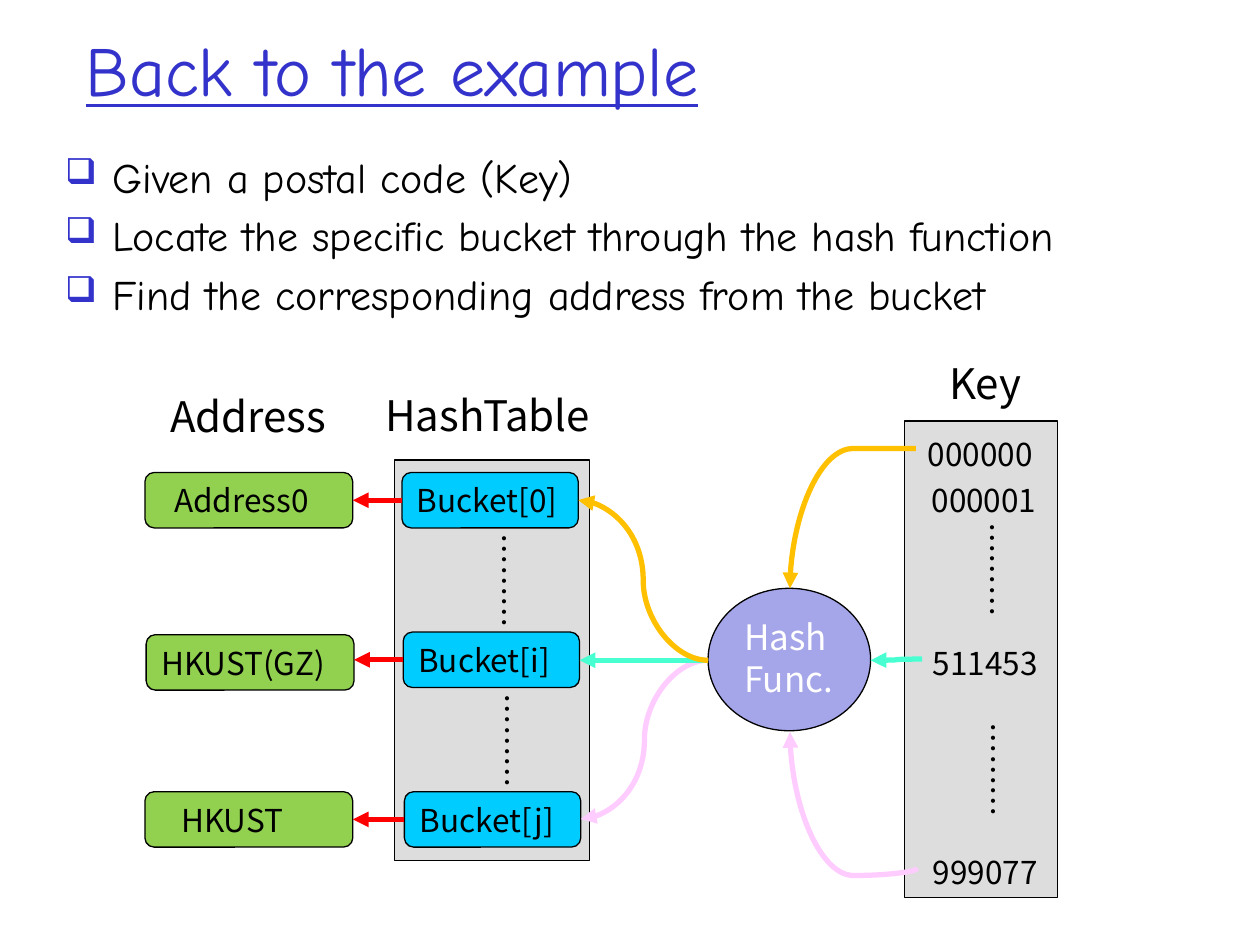
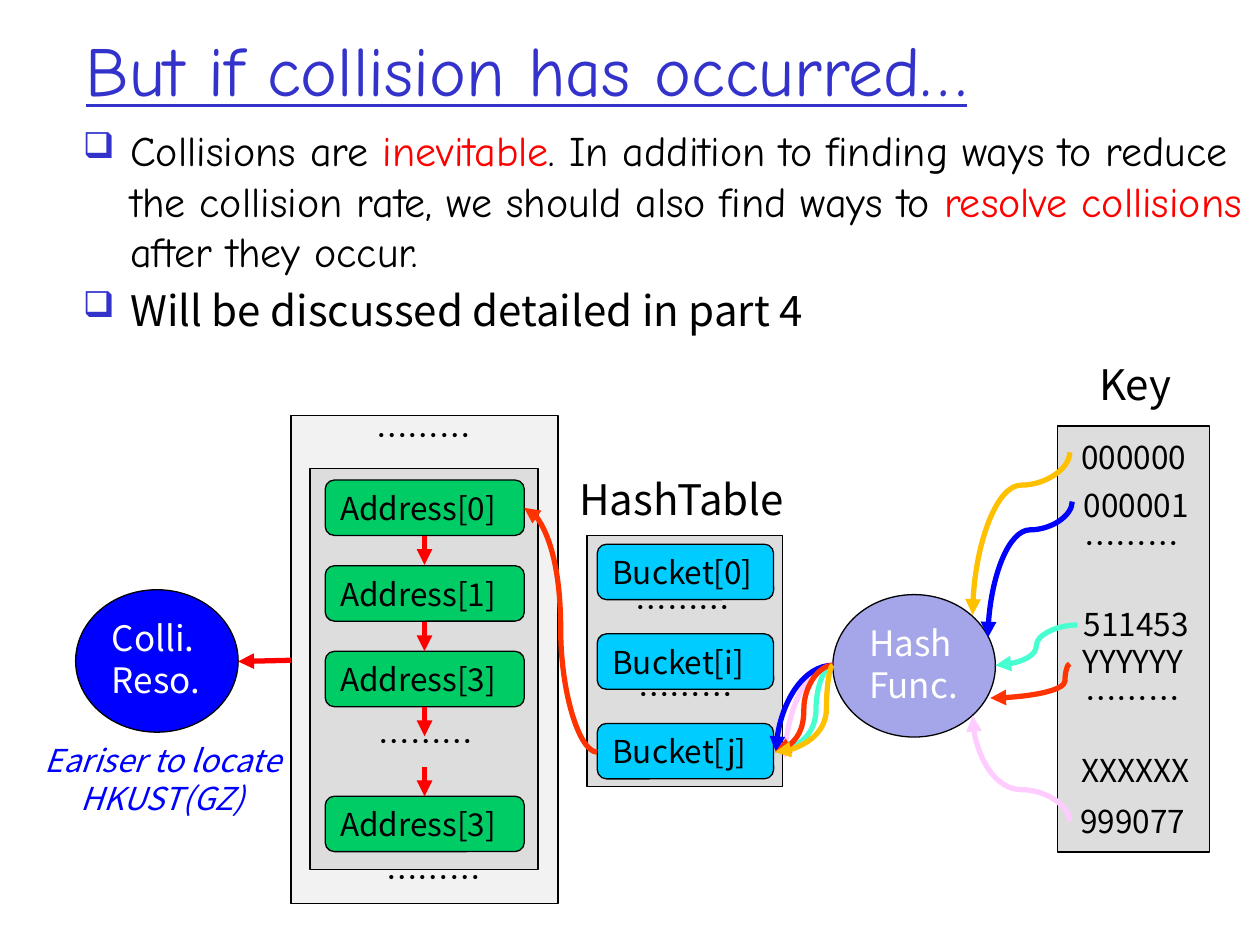
from dataclasses import dataclass

from lxml import etree
from pptx import Presentation
from pptx import util as u
from pptx.dml import color
from pptx.enum import shapes, text
from pptx.oxml import ns


@dataclass(frozen=True)
class Theme:
    hand: str = "Comic Neue"
    sans: str = "Noto Sans CJK JP"
    title_size: int = 40
    body_size: int = 24
    oval_size: int = 20
    small_size: int = 18
    title: str = "3333CC"
    black: str = "000000"
    white: str = "FFFFFF"
    panel: str = "DDDDDD"
    outer_panel: str = "F2F2F2"
    bucket: str = "00CCFF"
    address: str = "92D050"
    chained: str = "00CC66"
    hash: str = "A5A5E9"
    red: str = "FF0000"
    orange: str = "FF3300"
    gold: str = "FFC000"
    pink: str = "FFCCFF"
    teal: str = "47FFD1"
    blue: str = "0000FF"


THEME = Theme()
DOTS = "………"
BOX_HEIGHT = 31.7
BUCKET_WIDTH = 100.8
OVAL_SIZE = (92.9, 81.4)
PRESET = shapes.MSO_SHAPE


# --- Text ---

def rgb(value):
    return color.RGBColor.from_string(value)


def points(values):
    return [u.Pt(value) for value in values]


def add_run(paragraph, words, size, fill=THEME.black, font=THEME.sans):
    run = paragraph.add_run()
    run.text = words
    run.font.size = u.Pt(size)
    run.font.name = font
    run.font.color.rgb = rgb(fill)
    east_asian = etree.SubElement(run.font._element, ns.qn("a:ea"))
    east_asian.set("typeface", font)
    return run


def add_text_box(slide, box):
    shape = slide.shapes.add_textbox(*points(box))
    shape.text_frame.word_wrap = True
    return shape


def add_title(slide, words):
    frame = add_text_box(slide, (42, 18, 612, 42.5)).text_frame
    frame.vertical_anchor = text.MSO_ANCHOR.MIDDLE
    run = add_run(frame.paragraphs[0], words, THEME.title_size, THEME.title, THEME.hand)
    run.font.underline = True


def add_bullet(paragraph):
    properties = paragraph._p.get_or_add_pPr()
    properties.set("marL", str(u.Pt(27)))
    properties.set("indent", str(u.Pt(-27)))
    bullet_color = etree.SubElement(properties, ns.qn("a:buClr"))
    etree.SubElement(bullet_color, ns.qn("a:srgbClr")).set("val", THEME.title)
    etree.SubElement(properties, ns.qn("a:buSzPct")).set("val", "85000")
    etree.SubElement(properties, ns.qn("a:buChar")).set("char", "❑")


def add_bullets(slide, box, items):
    """Each item is a list of (words, colour, font) runs."""
    frame = add_text_box(slide, box).text_frame
    for index, runs in enumerate(items):
        paragraph = frame.add_paragraph() if index else frame.paragraphs[0]
        add_bullet(paragraph)
        if index:
            paragraph.space_before = u.Pt(4.8)
        for words, fill, font in runs:
            add_run(paragraph, words, THEME.body_size, fill, font)


def add_label(slide, center, top, words, size=THEME.small_size, fill=THEME.black,
              width=162.7, rotation=0):
    height = 36 if size == THEME.body_size else 28.8
    shape = add_text_box(slide, (center - width / 2, top, width, height))
    shape.rotation = rotation
    shape.text_frame.auto_size = text.MSO_AUTO_SIZE.SHAPE_TO_FIT_TEXT
    paragraph = shape.text_frame.paragraphs[0]
    paragraph.alignment = text.PP_ALIGN.CENTER
    return add_run(paragraph, words, size, fill)


def add_heading(slide, center, top, words):
    add_label(slide, center, top, words, THEME.body_size)


# --- Shapes ---

def add_block(slide, preset, box, fill):
    shape = slide.shapes.add_shape(preset, *points(box))
    shape.shadow.inherit = False
    shape.fill.solid()
    shape.fill.fore_color.rgb = rgb(fill)
    shape.line.color.rgb = rgb(THEME.black)
    shape.line.width = u.Pt(0.75)
    return shape


def add_panel(slide, box, fill=THEME.panel):
    add_block(slide, PRESET.RECTANGLE, box, fill)


def add_node(slide, preset, box, words, fill, size, font_color, indent=0):
    frame = add_block(slide, preset, box, fill).text_frame
    frame.word_wrap = True
    frame.vertical_anchor = text.MSO_ANCHOR.TOP
    frame.margin_left = u.Pt(7.2 + indent)
    paragraph = frame.paragraphs[0]
    paragraph.alignment = text.PP_ALIGN.LEFT
    add_run(paragraph, words, size, font_color)


def add_box(slide, left, top, width, words, fill, indent=0):
    add_node(slide, PRESET.ROUNDED_RECTANGLE, (left, top, width, BOX_HEIGHT),
             words, fill, THEME.small_size, THEME.black, indent)


def add_oval(slide, left, top, words, fill):
    add_node(slide, PRESET.OVAL, (left, top, *OVAL_SIZE),
             words, fill, THEME.oval_size, THEME.white)


# --- Connectors ---

def add_connector(slide, kind, start, end, line_color):
    connector = slide.shapes.add_connector(kind, *points((*start, *end)))
    connector.line.color.rgb = rgb(line_color)
    connector.line.width = u.Pt(3)
    properties = connector._element.spPr
    line = properties.find(ns.qn("a:ln"))
    etree.SubElement(line, ns.qn("a:tailEnd")).set("type", "triangle")
    etree.SubElement(properties, ns.qn("a:effectLst"))
    return properties


def add_arrow(slide, start, end):
    add_connector(slide, shapes.MSO_CONNECTOR.STRAIGHT, start, end, THEME.red)


def add_curve(slide, start, end, line_color, bend=0.5, vertical=False):
    """Curve running leftwards; a bend of None gives a single quarter turn."""
    (x1, y1), (x2, y2) = start, end
    if vertical:
        middle_x, middle_y = (x1 + x2) / 2, (y1 + y2) / 2
        half_width, half_height = abs(y2 - y1) / 2, (x1 - x2) / 2
        goes_down = y2 > y1
        if not goes_down:
            half_height = -half_height
        first = (middle_x - half_width, middle_y - half_height)
        last = (middle_x + half_width, middle_y + half_height)
        angle = 90 if goes_down else 270
    else:
        first, last, angle = end, start, 180
    properties = add_connector(slide, shapes.MSO_CONNECTOR.CURVE, first, last, line_color)
    properties.find(ns.qn("a:xfrm")).set("rot", str(angle * 60000))
    geometry = properties.find(ns.qn("a:prstGeom"))
    if bend is None:
        geometry.set("prst", "curvedConnector2")
        return
    adjustments = geometry.find(ns.qn("a:avLst"))
    if adjustments is None:
        adjustments = etree.SubElement(geometry, ns.qn("a:avLst"))
    guide = etree.SubElement(adjustments, ns.qn("a:gd"))
    guide.set("name", "adj1")
    guide.set("fmla", f"val {round(bend * 100000)}")


# --- Slides ---

def build_example(slide):
    add_title(slide, "Back to the example")
    lines = ("Given a postal code (Key)",
             "Locate the specific bucket through the hash function",
             "Find the corresponding address from the bucket")
    add_bullets(slide, (30.2, 82.8, 702.7, 96.5),
                [[(line, THEME.black, THEME.hand)] for line in lines])

    # Panels and headings
    add_panel(slide, (225.4, 262.8, 111.6, 229))
    add_panel(slide, (517, 240.5, 87.1, 272.2))
    add_heading(slide, 141.8, 219.6, "Address")
    add_heading(slide, 278.6, 218.9, "HashTable")
    add_heading(slide, 563, 200.9, "Key")

    # Buckets with the address each one leads to
    rows = (("Bucket[0]", "Address0", 82.8, 8),
            ("Bucket[i]", "HKUST(GZ)", 83.5, 0),
            ("Bucket[j]", "HKUST", 82.8, 12))
    for index, (bucket, address, address_left, indent) in enumerate(rows):
        top = 270 + 91.2 * index
        left = 229.7 + 0.7 * index
        middle = top + BOX_HEIGHT / 2
        add_box(slide, left, top, BUCKET_WIDTH, bucket, THEME.bucket)
        add_box(slide, address_left, top + (1.5 if index == 1 else 0), 118.8,
                address, THEME.address, indent)
        add_arrow(slide, (left, middle), (address_left + 118.8, middle))

    # Keys and the gaps between entries
    for center, top, key in ((560.2, 244.8, "000000"), (562.3, 271.4, "000001"),
                             (563, 364.3, "511453"), (563, 483.8, "999077")):
        add_label(slide, center, top, key)
    for center, top in ((288.7, 317.5), (290.2, 409), (567.4, 311), (568.1, 425.5)):
        add_label(slide, center, top, DOTS, rotation=90)

    # Hash function and its paths
    add_oval(slide, 404.6, 336.2, "Hash Func.", THEME.hash)
    add_curve(slide, (523.4, 256.3), (451.4, 336.2), THEME.gold, 0, vertical=True)
    add_curve(slide, (524.2, 496.1), (451.4, 418.3), THEME.pink, -0.054, vertical=True)
    add_curve(slide, (527, 376.6), (497.5, 377.3), THEME.teal)
    for end, line_color in (((331.9, 468), THEME.pink), ((331.2, 377.3), THEME.teal),
                            ((330.5, 285.8), THEME.gold)):
        add_curve(slide, (404.6, 377.3), end, line_color)


def build_collision(slide):
    add_title(slide, "But if collision has occurred…")
    black, red, hand = THEME.black, THEME.red, THEME.hand
    add_bullets(slide, (40.3, 67.7, 676.8, 113), [
        [("Collisions are ", black, hand), ("inevitable", red, hand),
         (". In addition to finding ways to reduce the collision rate, "
          "we should also find ways to ", black, hand),
         ("resolve collisions ", red, hand), ("after they occur.", black, hand)],
        [("Will be discussed detailed in part 4", black, THEME.sans)],
    ])

    # Panels and headings
    add_panel(slide, (166.3, 237.6, 152.6, 278.6), THEME.outer_panel)
    add_panel(slide, (177.1, 267.8, 130.3, 229))
    add_panel(slide, (335.5, 306, 111.6, 143.3))
    add_panel(slide, (604.1, 243.4, 87.1, 243.4))
    add_heading(slide, 389.5, 267.1, "HashTable")
    add_heading(slide, 648.7, 201.6, "Key")

    # Buckets
    for index, name in enumerate("0ij"):
        add_box(slide, 341.3, 311 + 51.2 * index, BUCKET_WIDTH,
                f"Bucket[{name}]", THEME.bucket)

    # Chain of addresses
    for top, number in ((274.3, 0), (323.3, 1), (372.2, 3), (455, 3)):
        add_box(slide, 185.8, top, 113.8, f"Address[{number}]", THEME.chained)
    for top in (306, 355.3, 403.9, 438.2):
        add_arrow(slide, (242.6, top), (242.6, top + 16.8))

    # Keys and the gaps between entries
    for center, top, words in (
            (648, 247, "000000"), (649.4, 274.3, "000001"), (646.6, 295.9, DOTS),
            (649.4, 342, "511453"), (647.3, 363.6, "YYYYYY"), (647.3, 384.5, DOTS),
            (648.7, 425.5, "XXXXXX"), (647.3, 455, "999077"),
            (390.2, 332.6, DOTS), (391.7, 382.3, DOTS),
            (241.9, 234, DOTS), (243.4, 409, DOTS), (247.7, 486.7, DOTS)):
        add_label(slide, center, top, words)

    # Keys into the hash function
    add_oval(slide, 475.9, 339.8, "Hash Func.", THEME.hash)
    for start, end, line_color, bend, vertical in (
            ((611.3, 258.5), (555.8, 351.4), THEME.gold, 0.202, True),
            ((611.3, 469.4), (555.8, 409), THEME.pink, 0.301, True),
            ((615.6, 357.1), (568.8, 380.2), THEME.teal, 0.5, False),
            ((612.7, 286.6), (564.5, 364.3), THEME.blue, 0.208, True),
            ((611.3, 379.4), (565.9, 398.9), THEME.orange, 0.061, False)):
        add_curve(slide, start, end, line_color, bend, vertical)

    # All keys collide in the last bucket
    for end, line_color, bend in (
            ((448.6, 433.4), THEME.pink, None), ((442.8, 429.8), THEME.teal, 0.291),
            ((443.5, 429.8), THEME.blue, None), ((442.8, 429.8), THEME.orange, 0.5),
            ((442.8, 429.8), THEME.gold, 0.112)):
        add_curve(slide, (475.9, 380.2), end, line_color, bend)
    add_curve(slide, (341.3, 429.8), (299.5, 290.2), THEME.orange)

    # Collision resolution
    add_oval(slide, 43.2, 337, "Colli. Reso.", THEME.blue)
    add_arrow(slide, (166.3, 377.3), (136.1, 378))
    caption = add_label(slide, 92.9, 419.8, "Eariser to locate HKUST(GZ)",
                        fill=THEME.blue, width=217.4)
    caption.font.italic = True


def main():
    presentation = Presentation()
    presentation.slide_width, presentation.slide_height = u.Pt(720), u.Pt(540)
    for build in (build_example, build_collision):
        build(presentation.slides.add_slide(presentation.slide_layouts[6]))
    presentation.save("out.pptx")


if __name__ == "__main__":
    main()
